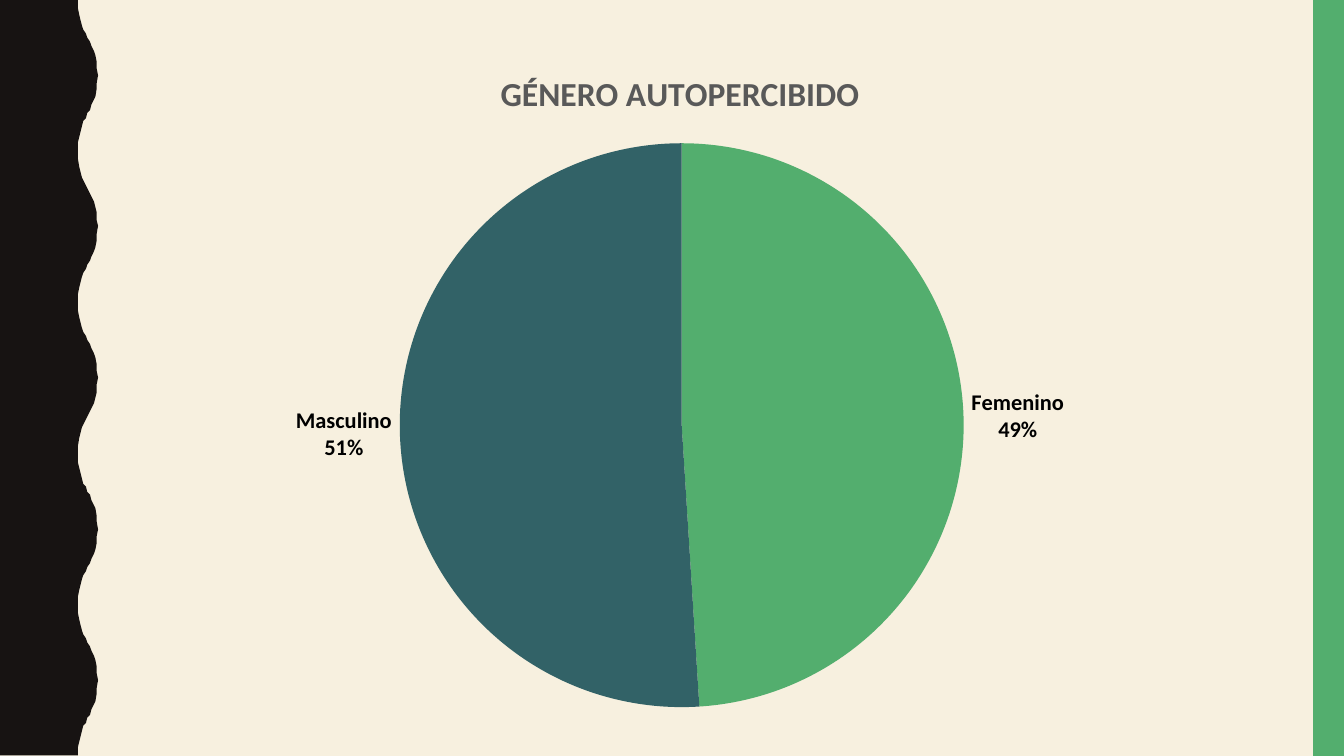
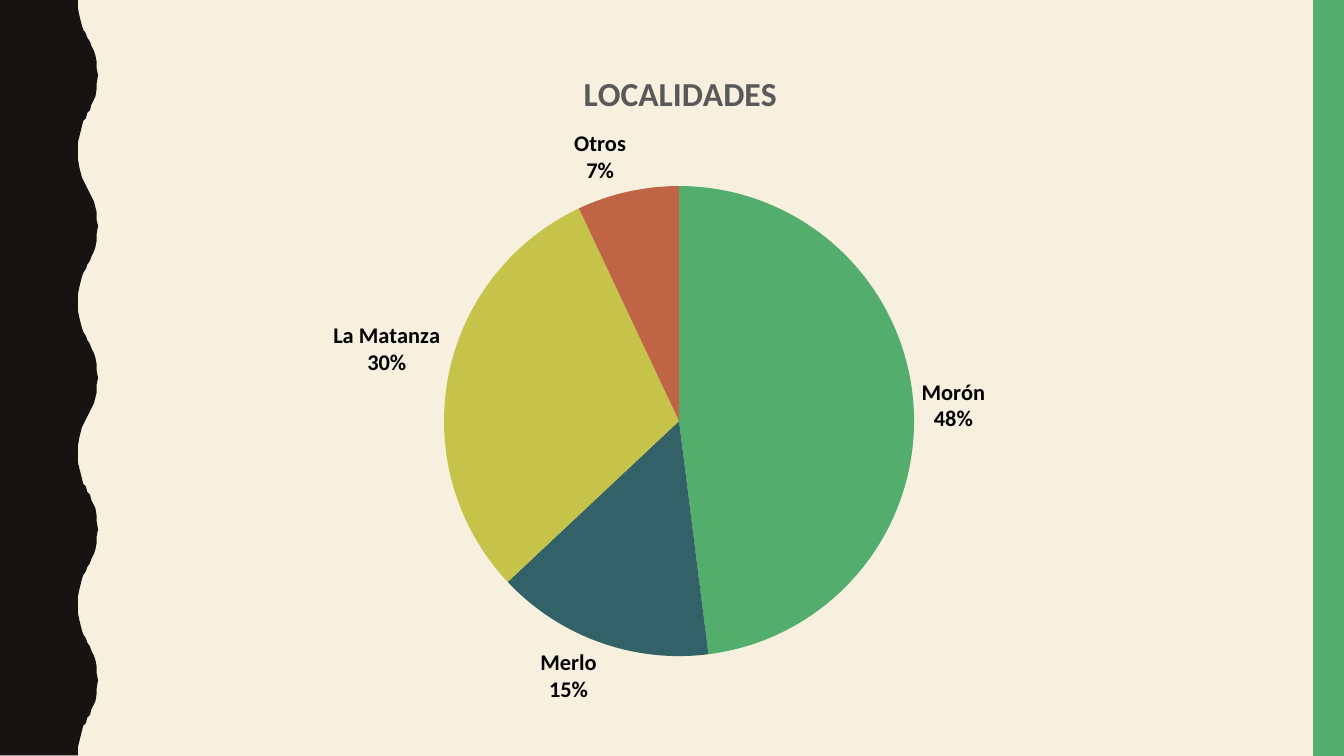
from lxml import etree
from pptx import Presentation
from pptx import util as u
from pptx.chart.data import CategoryChartData
from pptx.dml.color import RGBColor
from pptx.enum import chart as ch, shapes
from pptx.oxml import ns

WIDTH = 10
HEIGHT = WIDTH * 9 / 16
CREAM, BLACK, GREY = "F7F0DF", "171312", "595959"
SLICE_COLOURS = ["53AE6E", "326267", "C5C34A", "BF6546"]
FONT = "Calibri"

# Wavy edge in hundredths of an inch: equal waves, each swinging out and mirrored back
WAVES = 5
WAVE_HEIGHT = 100 * HEIGHT / WAVES
SWING = [(58, 0), (58, 6), (59, 11), (60, 15), (61, 19), (62, 22), (64, 25), (65, 28),
         (67, 31), (68, 34), (70, 38), (71, 41), (72, 46), (72, 51), (73, 56)]
WAVE = SWING + [(x, WAVE_HEIGHT - y) for x, y in reversed(SWING[1:-1])]

# Title, chart frame, plot area as fractions of the frame (None: automatic), percentages
PIES = [
    ("GÉNERO AUTOPERCIBIDO", (1.27, 0.32, 7.58, 5.08), None,
     {"Femenino": 49, "Masculino": 51}),
    ("LOCALIDADES ", (1.38, 0.32, 7.42, 5.07), (0.08, 0.21, 0.83, 0.69),
     {"Morón": 48, "Merlo": 15, "La Matanza": 30, "Otros": 7}),
]


def rgb(colour):
    return RGBColor.from_string(colour)


def add_chart_tag(parent, tag, value):
    return etree.SubElement(parent, ns.qn("c:" + tag), val=str(value))


deck = Presentation()
deck.slide_width, deck.slide_height = u.Inches(WIDTH), u.Inches(HEIGHT)

for title, frame, plot_area, shares in PIES:
    page = deck.slides.add_slide(deck.slide_layouts[6])
    page.background.fill.solid()
    page.background.fill.fore_color.rgb = rgb(CREAM)

    # Side bands
    outline = page.shapes.build_freeform(0, 0, scale=u.Inches(0.01))
    edge = [(x, y + wave * WAVE_HEIGHT) for wave in range(WAVES) for x, y in WAVE]
    outline.add_line_segments(edge + [(58, 100 * HEIGHT), (0, 100 * HEIGHT)], close=True)
    wavy_band = outline.convert_to_shape()
    right_band = page.shapes.add_shape(
        shapes.MSO_SHAPE.RECTANGLE, u.Inches(9.77), 0, u.Inches(0.23), u.Inches(HEIGHT))
    for band, colour in ((wavy_band, BLACK), (right_band, SLICE_COLOURS[0])):
        band.fill.solid()
        band.fill.fore_color.rgb = rgb(colour)
        band.line.fill.background()
        band.shadow.inherit = False

    # Pie
    data = CategoryChartData()
    data.categories = list(shares)
    data.add_series("Series 1", list(shares.values()))
    pie = page.shapes.add_chart(
        ch.XL_CHART_TYPE.PIE, *[u.Inches(length) for length in frame], data).chart
    pie.has_legend = False
    pie.font.name, pie.font.size = FONT, u.Pt(10)
    pie.font.color.rgb = rgb("000000")
    pie.plots[0].vary_by_categories = True

    pie.has_title = True
    span = pie.chart_title.text_frame.paragraphs[0].add_run()
    span.text = title
    span.font.name, span.font.size, span.font.bold = FONT, u.Pt(18), True
    span.font.color.rgb = rgb(GREY)
    pie.chart_title.include_in_layout = False

    series = pie.plots[0].series[0]
    for index, colour in enumerate(SLICE_COLOURS[:len(shares)]):
        slice_format = series.points[index].format
        slice_format.fill.solid()
        slice_format.fill.fore_color.rgb = rgb(colour)
        slice_format.line.fill.background()

    labels = series.data_labels
    labels.show_value = False
    labels.show_category_name = labels.show_percentage = True
    labels.number_format, labels.number_format_is_linked = "0%", False
    labels.position = ch.XL_LABEL_POSITION.OUTSIDE_END
    labels.font.name, labels.font.size, labels.font.bold = FONT, u.Pt(12), True
    labels.font.color.rgb = rgb("000000")
    separator = etree.Element(ns.qn("c:separator"))
    separator.text = "\n"
    labels._element.find(ns.qn("c:showPercent")).getnext().addnext(separator)

    # Fixed plot area
    if plot_area:
        plot_xml = pie._chartSpace.chart.plotArea
        for old_layout in plot_xml.findall(ns.qn("c:layout")):
            plot_xml.remove(old_layout)
        layout = etree.Element(ns.qn("c:layout"))
        plot_xml.insert(0, layout)
        manual = etree.SubElement(layout, ns.qn("c:manualLayout"))
        add_chart_tag(manual, "layoutTarget", "inner")
        for mode in ("xMode", "yMode"):
            add_chart_tag(manual, mode, "edge")
        for side, fraction in zip("xywh", plot_area):
            add_chart_tag(manual, side, fraction)

deck.save("out.pptx")
